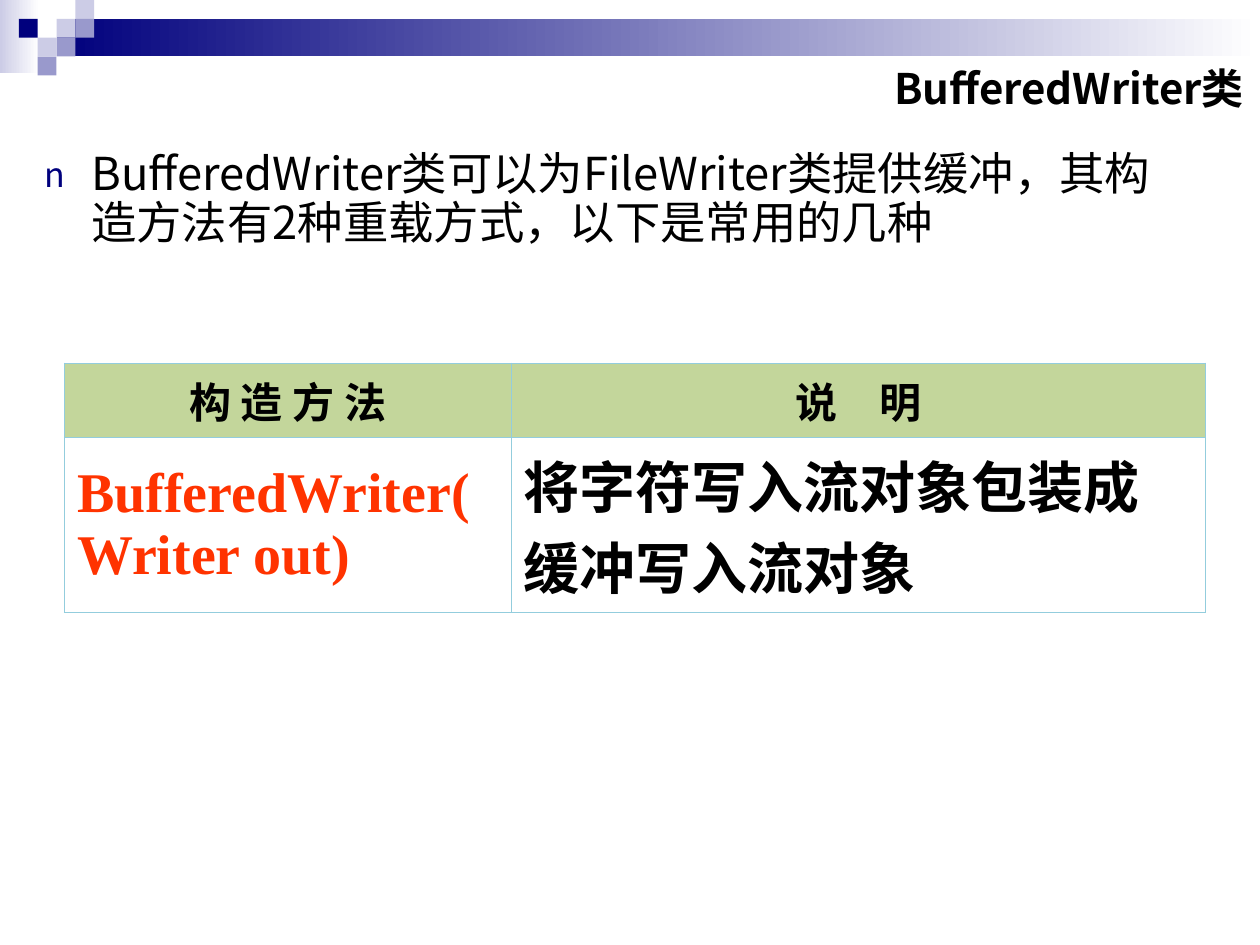
from lxml import etree
from pptx import Presentation
from pptx.dml.color import RGBColor
from pptx.enum.shapes import MSO_SHAPE
from pptx.enum.text import MSO_ANCHOR, MSO_AUTO_SIZE, PP_ALIGN
from pptx.oxml.ns import qn
from pptx.util import Cm, Pt

RECTANGLE = MSO_SHAPE.RECTANGLE
MIDDLE = MSO_ANCHOR.MIDDLE
NO_AUTOFIT = MSO_AUTO_SIZE.NONE
LEFT, CENTER, RIGHT = PP_ALIGN.LEFT, PP_ALIGN.CENTER, PP_ALIGN.RIGHT

NAVY = RGBColor(0x00, 0x00, 0x7D)
LAVENDER = RGBColor(0x99, 0x99, 0xCC)
PALE = RGBColor(0xCC, 0xCC, 0xE6)
WHITE = RGBColor(0xFF, 0xFF, 0xFF)
BLACK = RGBColor(0x00, 0x00, 0x00)
GREEN = RGBColor(0xC3, 0xD6, 0x9B)
RED = RGBColor(0xFF, 0x33, 0x00)
BORDER = RGBColor(0x93, 0xCD, 0xDD)

SANS = "Noto Sans CJK SC"
SERIF = "Times New Roman"
TILE = 0.38
TILES = [
    (2, 1, PALE), (3, 0, PALE), (3, 1, LAVENDER), (1, 2, PALE),
    (0, 1, NAVY), (2, 2, LAVENDER), (1, 3, LAVENDER),
]
HEADER_HEIGHT = 1.49
METHOD_WIDTH = 9
HEADERS = ["构 造 方 法", "说　明"]
CONSTRUCTOR = [
    ("BufferedWriter(Writer out)", SERIF, RED),
    ("将字符写入流对象包装成缓冲写入流对象", SANS, BLACK),
]


def add_run(paragraph, text, size, color=BLACK, font=SANS, bold=False):
    """Add a formatted run whose font also covers East Asian text."""
    run = paragraph.add_run()
    run.text = text
    run.font.name = font
    run.font.size = Pt(size)
    run.font.bold = bold
    run.font.color.rgb = color
    properties = run.font._element
    etree.SubElement(properties, qn("a:ea")).set("typeface", font)


def add_block(slide, left, top, width, height, color, fade=False):
    """Add a borderless rectangle, solid or fading to white rightwards."""
    block = slide.shapes.add_shape(
        RECTANGLE, Cm(left), Cm(top), Cm(width), Cm(height))
    block.shadow.inherit = False
    block.line.fill.background()
    if fade:
        block.fill.gradient()
        block.fill.gradient_angle = 0
        for stop, stop_color in zip(block.fill.gradient_stops, (color, WHITE)):
            stop.color.rgb = stop_color
    else:
        block.fill.solid()
        block.fill.fore_color.rgb = color


def add_banner(slide, left, top, width):
    """Draw the fading bars and the mosaic of tiles on a square grid."""
    add_block(slide, left, top, 0.79, 1.47, PALE, fade=True)
    bar_left = 3 * TILE
    add_block(slide, left + bar_left, top + TILE, width - bar_left, 2 * TILE,
              NAVY, fade=True)
    for column, row, color in TILES:
        add_block(slide, left + (column + 1) * TILE, top + row * TILE,
                  TILE, TILE, color)


def place_title(slide, left, top, width, height):
    """Move and format the title placeholder."""
    title = slide.shapes.title
    title.left, title.top = Cm(left), Cm(top)
    title.width, title.height = Cm(width), Cm(height)
    frame = title.text_frame
    frame.vertical_anchor = MIDDLE
    frame.auto_size = NO_AUTOFIT
    paragraph = frame.paragraphs[0]
    paragraph.alignment = RIGHT
    add_run(paragraph, "BufferedWriter类", 24, bold=True)


def add_introduction(slide, left, top, width, height):
    """Add the bulleted introduction with a hanging indent."""
    box = slide.shapes.add_textbox(Cm(left), Cm(top), Cm(width), Cm(height))
    box.text_frame.word_wrap = True
    paragraph = box.text_frame.paragraphs[0]
    paragraph.line_spacing = 0.9
    paragraph.space_before = Pt(7)
    properties = paragraph._p.get_or_add_pPr()
    properties.set("marL", str(Cm(0.95)))
    properties.set("indent", str(Cm(-0.95)))
    bullet_color = etree.SubElement(properties, qn("a:buClr"))
    etree.SubElement(bullet_color, qn("a:srgbClr")).set("val", str(NAVY))
    etree.SubElement(properties, qn("a:buSzPct")).set("val", "75000")
    etree.SubElement(properties, qn("a:buFont")).set("typeface", SANS)
    etree.SubElement(properties, qn("a:buChar")).set("char", "n")
    add_run(paragraph, "BufferedWriter类可以为FileWriter类提供缓冲，"
            "其构造方法有2种重载方式，以下是常用的几种", 25.9)


def set_borders(cell, widths):
    """Draw the left, right, top and bottom borders of a cell."""
    properties = cell._tc.get_or_add_tcPr()
    for position, (side, width) in enumerate(zip("LRTB", widths)):
        line = etree.Element(qn(f"a:ln{side}"), w=str(Pt(width)))
        fill = etree.SubElement(line, qn("a:solidFill"))
        etree.SubElement(fill, qn("a:srgbClr")).set("val", str(BORDER))
        properties.insert(position, line)


def fill_cell(cell, text, size, font, color, fill, alignment, space):
    """Fill a cell and write its bold text."""
    cell.fill.solid()
    cell.fill.fore_color.rgb = fill
    cell.vertical_anchor = MIDDLE
    paragraph = cell.text_frame.paragraphs[0]
    paragraph.alignment = alignment
    paragraph.space_before = Pt(space)
    add_run(paragraph, text, size, color, font, bold=True)


def add_constructor_table(slide, left, top, width, height):
    """Add the table of constructors with thicker outer borders."""
    table = slide.shapes.add_table(
        2, 2, Cm(left), Cm(top), Cm(width), Cm(height)).table
    table.horz_banding = False
    table.columns[0].width = Cm(METHOD_WIDTH)
    table.columns[1].width = Cm(width - METHOD_WIDTH)
    table.rows[0].height = Cm(HEADER_HEIGHT)
    table.rows[1].height = Cm(height - HEADER_HEIGHT)
    outer, inner = 0.75, 0.45
    for column, header in enumerate(HEADERS):
        fill_cell(table.cell(0, column), header, 24, SANS, BLACK,
                  GREEN, CENTER, 6)
        text, font, color = CONSTRUCTOR[column]
        fill_cell(table.cell(1, column), text, 32, font, color,
                  WHITE, LEFT, 8)
        sides = (inner, outer) if column else (outer, inner)
        set_borders(table.cell(0, column), (*sides, outer, inner))
        set_borders(table.cell(1, column), (*sides, inner, outer))


def main():
    """Build the slide and save it."""
    presentation = Presentation()
    presentation.slide_width = Cm(25.4)
    presentation.slide_height = Cm(19.05)
    slide = presentation.slides.add_slide(presentation.slide_layouts[5])
    add_banner(slide, 0, 0, 25.4)
    place_title(slide, 12.3, 0.92, 13.03, 1.7)
    add_introduction(slide, 0.64, 2.92, 23.47, 3.2)
    add_constructor_table(slide, 1.3, 7.32, 23, 5.02)
    presentation.save("out.pptx")


if __name__ == "__main__":
    main()
